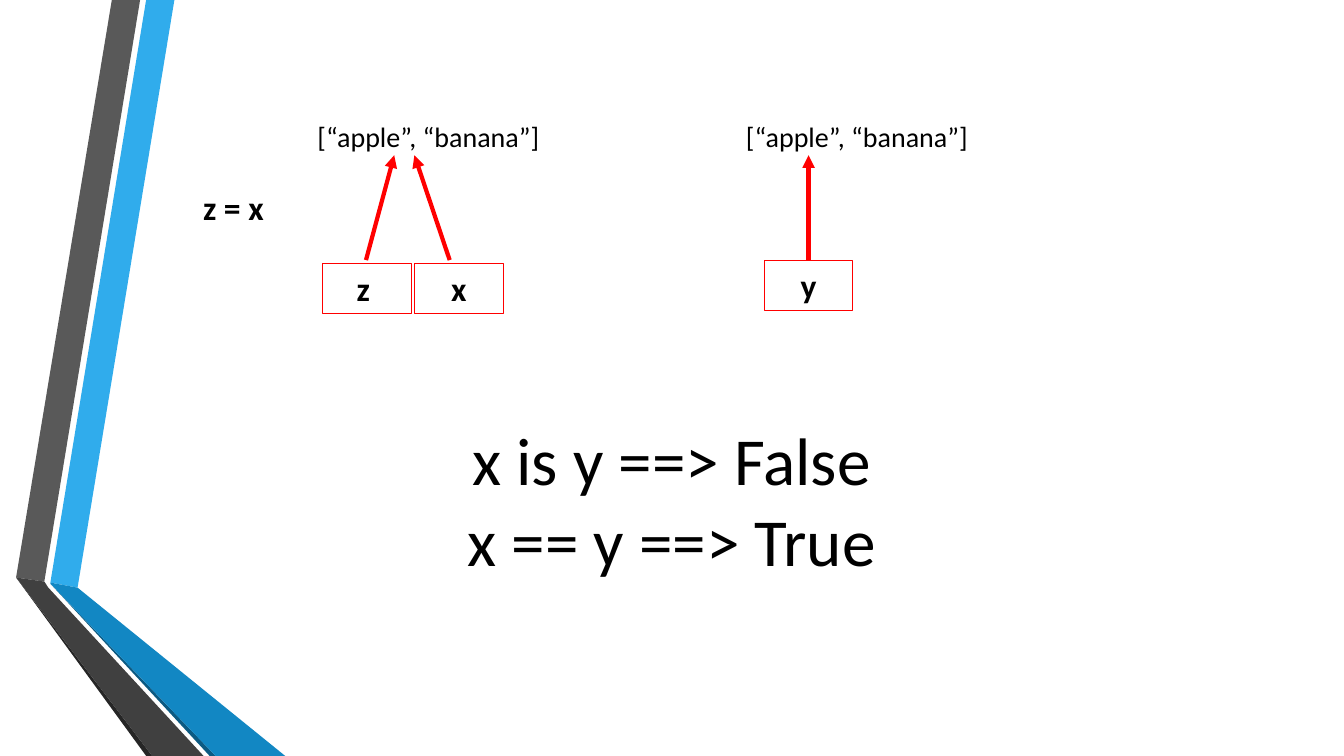
from typing import NamedTuple

from lxml.etree import SubElement
from pptx import Presentation
from pptx.dml.color import RGBColor
from pptx.enum.shapes import MSO_CONNECTOR, MSO_SHAPE
from pptx.enum.text import MSO_ANCHOR, PP_ALIGN
from pptx.oxml.ns import qn
from pptx.slide import Slide
from pptx.text.text import TextFrame
from pptx.util import Inches, Pt

COLOURS = {
    "text": "000000",
    "accent": "FF0000",
    "blue": "30ACEC",
    "blue_fold": "1287C3",
    "blue_edge": "0C5A82",
    "grey": "595959",
    "grey_fold": "404040",
    "grey_edge": "262626",
}
FONT = "Calibri"
NAME_WIDTH, NAME_HEIGHT = 0.88, 0.5
ARROW_TOP, ARROW_BOTTOM = 1.54, 2.58


class Ribbon(NamedTuple):
    colour: str
    points: list[tuple[float, float]]


class Label(NamedTuple):
    lines: list[str]
    left: float
    top: float
    width: float
    height: float
    size: int
    bold: bool = False
    align: PP_ALIGN = PP_ALIGN.CENTER


class NameBox(NamedTuple):
    name: str
    left: float
    top: float


class Arrow(NamedTuple):
    start_x: float
    end_x: float


RIBBONS = [
    Ribbon("blue", [(0.5, 5.78), (0.77, 5.83), (1.73, 0), (1.45, 0)]),
    Ribbon("grey", [(1.39, 0), (1.11, 0), (0.16, 5.73), (0.44, 5.77)]),
    Ribbon("grey_edge", [(0.16, 5.73), (1.45, 7.5), (1.51, 7.5)]),
    Ribbon("blue_edge", [(0.5, 5.79), (2.08, 7.5), (2.14, 7.5)]),
    Ribbon("blue_fold", [(0.5, 5.79), (2.14, 7.5), (2.83, 7.5), (0.77, 5.83), (0.5, 5.78)]),
    Ribbon("grey_fold", [(2.02, 7.5), (0.48, 5.83), (0.44, 5.77), (0.16, 5.73), (1.51, 7.5)]),
]
LIST_VALUE = "[“apple”, “banana”]"
LABELS = [
    Label([LIST_VALUE], 3.05, 1.14, 2.81, 0.44, 20, align=PP_ALIGN.LEFT),
    Label([LIST_VALUE], 7.3, 1.14, 2.81, 0.44, 20, align=PP_ALIGN.LEFT),
    Label(["z = x"], 1.58, 1.81, 1.47, 0.5, 24, bold=True),
    Label(["x is y ==> False", "x == y ==> True"], 3.72, 4.1, 5.88, 1.72, 48),
]
NAME_BOXES = [
    NameBox("z ", 3.2, 2.61),
    NameBox("x", 4.11, 2.61),
    NameBox("y", 7.58, 2.58),
]
ARROWS = [Arrow(3.63, 3.91), Arrow(4.46, 4.11), Arrow(8.02, 8.02)]


def colour(name: str) -> RGBColor:
    return RGBColor.from_string(COLOURS[name])


def write_lines(frame: TextFrame, lines: list[str], size: int, bold: bool, align: PP_ALIGN) -> None:
    frame.word_wrap = True
    frame.vertical_anchor = MSO_ANCHOR.TOP
    frame.text = "\n".join(lines)
    for para in frame.paragraphs:
        para.alignment = align
        para.font.name = FONT
        para.font.size = Pt(size)
        para.font.bold = bold
        para.font.color.rgb = colour("text")


def draw_ribbon(page: Slide, ribbon: Ribbon) -> None:
    points = [(Inches(x), Inches(y)) for x, y in ribbon.points]
    builder = page.shapes.build_freeform(*points[0])
    builder.add_line_segments(points[1:], close=True)
    shape = builder.convert_to_shape()
    shape.shadow.inherit = False
    shape.fill.solid()
    shape.fill.fore_color.rgb = colour(ribbon.colour)
    shape.line.fill.background()


def draw_label(page: Slide, label: Label) -> None:
    box = page.shapes.add_textbox(
        Inches(label.left), Inches(label.top), Inches(label.width), Inches(label.height)
    )
    write_lines(box.text_frame, label.lines, label.size, label.bold, label.align)


def draw_name_box(page: Slide, name_box: NameBox) -> None:
    box = page.shapes.add_shape(
        MSO_SHAPE.RECTANGLE,
        Inches(name_box.left),
        Inches(name_box.top),
        Inches(NAME_WIDTH),
        Inches(NAME_HEIGHT),
    )
    box.shadow.inherit = False
    box.fill.background()
    box.line.color.rgb = colour("accent")
    box.line.width = Pt(0.75)
    write_lines(box.text_frame, [name_box.name], 24, True, PP_ALIGN.CENTER)


def draw_arrow(page: Slide, arrow: Arrow) -> None:
    connector = page.shapes.add_connector(
        MSO_CONNECTOR.STRAIGHT,
        Inches(arrow.start_x),
        Inches(ARROW_BOTTOM),
        Inches(arrow.end_x),
        Inches(ARROW_TOP),
    )
    connector.line.color.rgb = colour("accent")
    connector.line.width = Pt(3)
    properties = connector._element.spPr
    SubElement(properties.find(qn("a:ln")), qn("a:tailEnd"), type="triangle")
    SubElement(properties, qn("a:effectLst"))


def main() -> None:
    deck = Presentation()
    deck.slide_width = Inches(13.33)
    deck.slide_height = Inches(7.5)
    page = deck.slides.add_slide(deck.slide_layouts.get_by_name("Blank"))
    for ribbon in RIBBONS:
        draw_ribbon(page, ribbon)
    for label in LABELS:
        draw_label(page, label)
    for name_box in NAME_BOXES:
        draw_name_box(page, name_box)
    for arrow in ARROWS:
        draw_arrow(page, arrow)
    deck.save("out.pptx")


if __name__ == "__main__":
    main()
